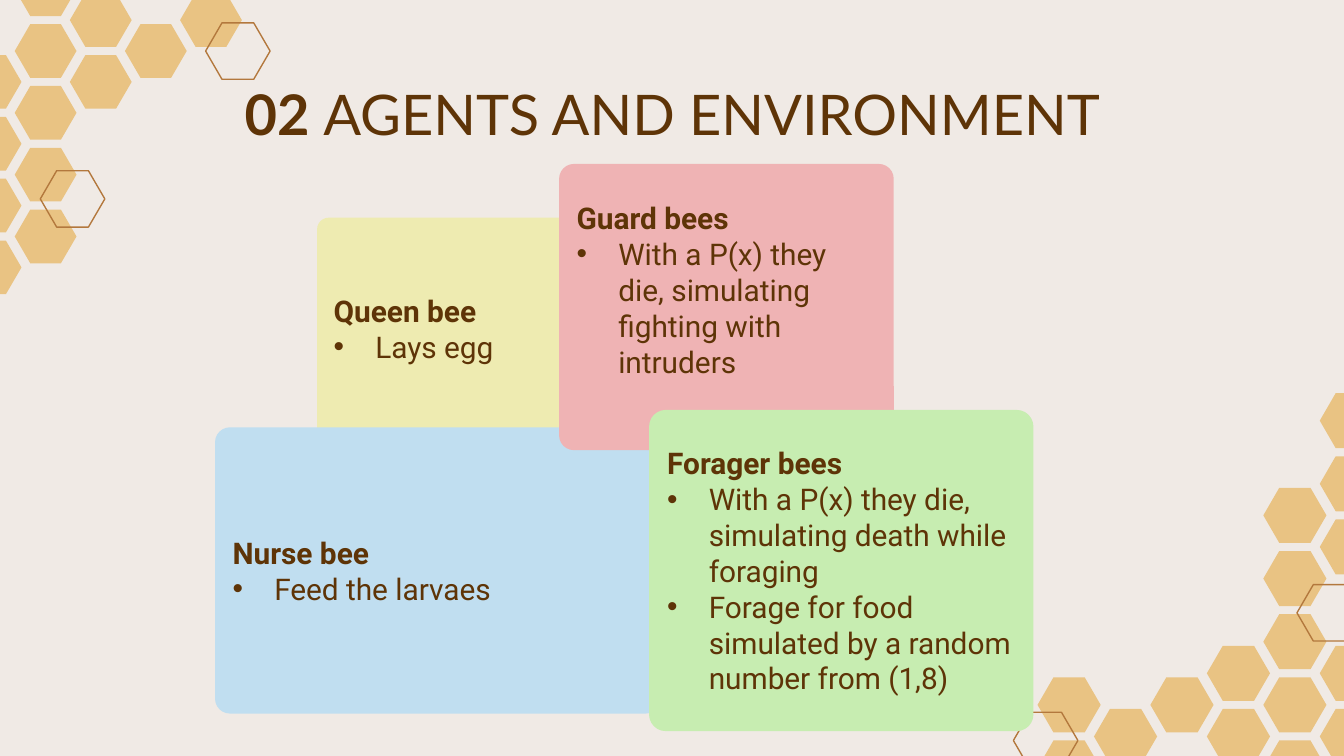
from lxml import etree
from pptx import Presentation
from pptx.dml.color import RGBColor
from pptx.enum.shapes import MSO_SHAPE
from pptx.enum.text import MSO_ANCHOR, MSO_AUTO_SIZE, PP_ALIGN
from pptx.oxml.ns import qn
from pptx.util import Inches, Pt

HEXAGON, ROUNDED = MSO_SHAPE.HEXAGON, MSO_SHAPE.ROUNDED_RECTANGLE
TOP, MIDDLE = MSO_ANCHOR.TOP, MSO_ANCHOR.MIDDLE
LEFT, CENTER = PP_ALIGN.LEFT, PP_ALIGN.CENTER
NO_AUTOFIT = MSO_AUTO_SIZE.NONE

THEME = {
    "background": "F0EAE5", "ink": "5E3407", "honey": "E9C383", "outline": "B3783D",
    "title_font": "Lato", "body_font": "Roboto", "title_size": 30, "body_size": 16,
}

TITLE = [("02 ", True), ("AGENTS AND ENVIRONMENT", False)]
TITLE_BOX = (0.79, 0.49, 8.43, 0.63)

AGENTS = [
    {"name": "Queen bee", "color": "EEEBB1", "box": (2.36, 1.62, 2.1, 1.65),
     "actions": ["Lays egg"]},
    {"name": "Nurse bee", "color": "C0DEF0", "box": (1.6, 3.18, 3.32, 2.13),
     "actions": ["Feed the larvaes"]},
    {"name": "Guard bees", "color": "EFB3B4", "box": (4.16, 1.22, 2.49, 2.13),
     "actions": ["With a P(x) they die, simulating fighting with intruders"],
     "bottom_inset": 0.36},
    {"name": "Forager bees", "color": "C7EDB1", "box": (4.83, 3.05, 2.86, 2.39),
     "actions": ["With a P(x) they die, simulating death while foraging",
                 "Forage for food simulated by a random number from (1,8)"]},
]

HONEYCOMBS = [
    {"origin": (0.11, -0.28), "pitch": (0.41, 0.46), "cell": (0.46, 0.4),
     "columns": {-1: [1, 2, 3, 4], 0: [0, 1, 2, 3, 4], 1: [0, 1], 2: [1], 3: [0]}},
    {"origin": (7.72, 2.69), "pitch": (0.42, 0.47), "cell": (0.47, 0.41),
     "columns": {0: [5, 6], 1: [5], 2: [5], 3: [4, 5],
                 4: [2, 3, 4, 5, 6], 5: [0, 1, 2, 4, 5]}},
]
OUTLINE_CELLS = [(0.3, 1.27), (9.65, 4.35), (7.54, 5.3), (1.53, 0.17)]
OUTLINE_SIZE = (0.48, 0.42)


def color(name):
    return RGBColor.from_string(THEME.get(name, name))


def add_shape(slide, kind, box, corner, fill=None, line=None):
    shape = slide.shapes.add_shape(kind, *map(Inches, box))
    shape.adjustments[0] = corner
    shape.shadow.inherit = False
    if fill:
        shape.fill.solid()
        shape.fill.fore_color.rgb = color(fill)
    else:
        shape.fill.background()
    if line:
        shape.line.color.rgb = color(line)
        shape.line.width = Pt(0.75)
    else:
        shape.line.fill.background()
    return shape


def set_frame(frame, anchor, bottom_inset=0.1):
    frame.word_wrap = True
    frame.auto_size = NO_AUTOFIT
    frame.vertical_anchor = anchor
    frame.margin_left = frame.margin_right = frame.margin_top = Inches(0.1)
    frame.margin_bottom = Inches(bottom_inset)


def add_run(paragraph, text, role, bold):
    run = paragraph.add_run()
    run.text = text
    run.font.name = THEME[role + "_font"]
    run.font.size = Pt(THEME[role + "_size"])
    run.font.bold = bold
    run.font.color.rgb = color("ink")


def add_bullet(paragraph):
    properties = paragraph._p.get_or_add_pPr()
    properties.set("marL", str(Inches(0.31)))
    properties.set("indent", str(Inches(-0.31)))
    etree.SubElement(properties, qn("a:buFont"), typeface="Arial")
    etree.SubElement(properties, qn("a:buChar"), char="•")


def add_honeycomb(slide, comb):
    (left, top), (step_x, step_y) = comb["origin"], comb["pitch"]
    for column, rows in comb["columns"].items():
        for row in rows:
            x = left + column * step_x
            y = top + (row + column % 2 / 2) * step_y
            add_shape(slide, HEXAGON, (x, y, *comb["cell"]), 0.29, fill="honey")


def add_title(slide):
    title = slide.shapes.title
    title.left, title.top, title.width, title.height = map(Inches, TITLE_BOX)
    set_frame(title.text_frame, TOP)
    heading = title.text_frame.paragraphs[0]
    heading.alignment = CENTER
    for text, bold in TITLE:
        add_run(heading, text, "title", bold)


def add_agent(slide, agent):
    card = add_shape(slide, ROUNDED, agent["box"], 0.052, fill=agent["color"])
    frame = card.text_frame
    set_frame(frame, MIDDLE, agent.get("bottom_inset", 0.1))
    name = frame.paragraphs[0]
    name.alignment = LEFT
    add_run(name, agent["name"], "body", True)
    for text in agent["actions"]:
        action = frame.add_paragraph()
        action.alignment = LEFT
        add_bullet(action)
        add_run(action, text, "body", False)


def main():
    deck = Presentation()
    deck.slide_width = Inches(10)
    deck.slide_height = deck.slide_width * 9 // 16
    slide = deck.slides.add_slide(deck.slide_layouts[5])
    slide.background.fill.solid()
    slide.background.fill.fore_color.rgb = color("background")
    for comb in HONEYCOMBS:
        add_honeycomb(slide, comb)
    for corner in OUTLINE_CELLS:
        add_shape(slide, HEXAGON, (*corner, *OUTLINE_SIZE), 0.29, line="outline")
    add_title(slide)
    for agent in AGENTS:
        add_agent(slide, agent)
    deck.save("out.pptx")


if __name__ == "__main__":
    main()
